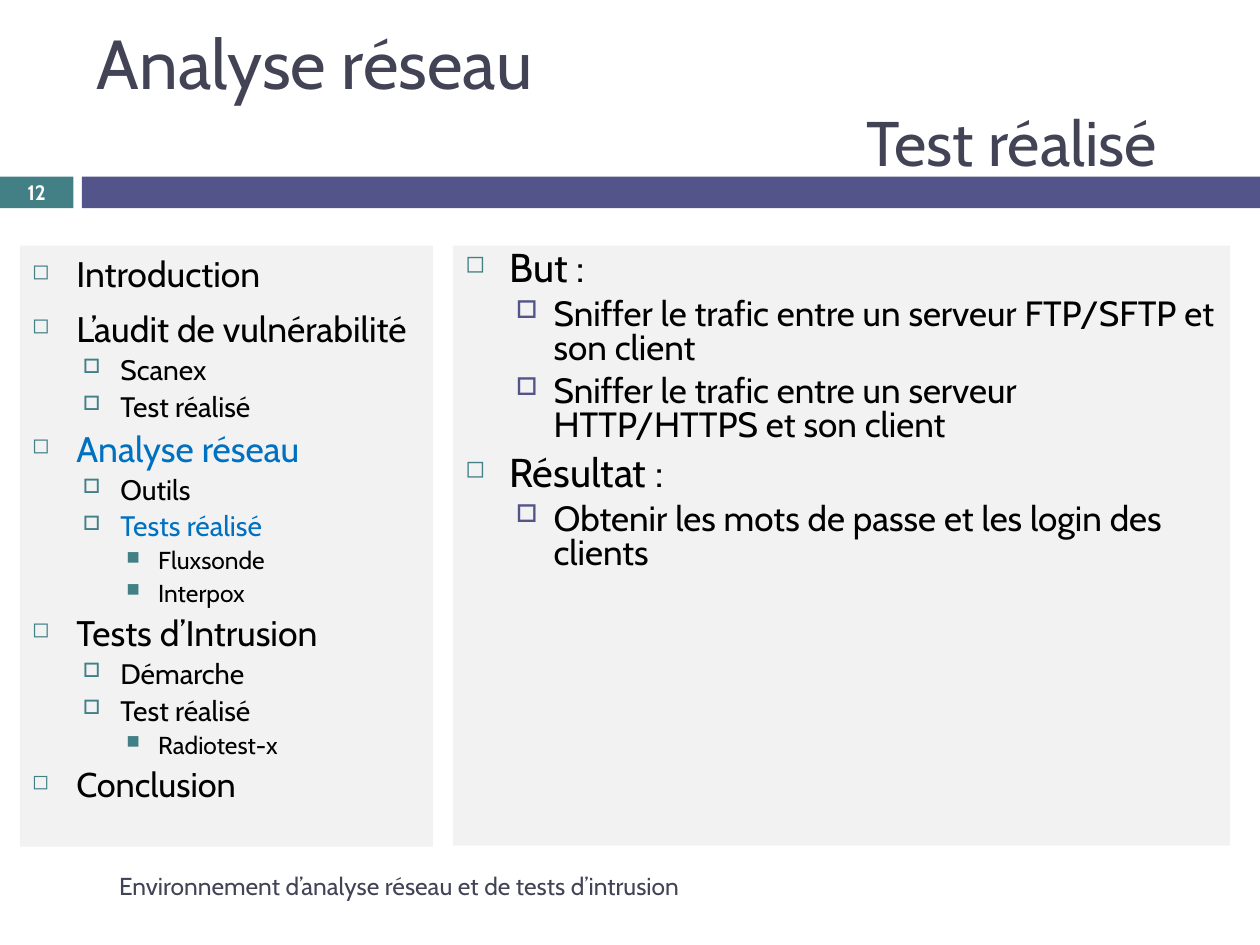
import pptx
import pptx.util
import pptx.dml.color
import pptx.enum.shapes
import pptx.enum.text
import pptx.oxml.ns
from lxml import etree

Cm, Pt = pptx.util.Cm, pptx.util.Pt
RGB = pptx.dml.color.RGBColor
ALIGN = pptx.enum.text.PP_ALIGN
MIDDLE = pptx.enum.text.MSO_ANCHOR.MIDDLE

FONT = "Cabin"
TEAL = RGB(0x43, 0x80, 0x86)
VIOLET = RGB(0x53, 0x54, 0x8A)
SLATE = RGB(0x42, 0x44, 0x56)
GRAY = RGB(0xF2, 0xF2, 0xF2)
BLACK = RGB(0, 0, 0)
WHITE = RGB(255, 255, 255)
BLUE = RGB(0, 0x70, 0xC0)

TITLE = [("Analyse réseau", 39.6, ALIGN.LEFT), ("Test réalisé", 36, ALIGN.RIGHT)]
NUMBER = "12"
FOOTER = "Environnement d’analyse réseau et de tests d’intrusion"

# level, text, size, colour, line spacing
PLAN = [
    (0, "Introduction", 20.3, BLACK, 1),
    (0, "L’audit de vulnérabilité", 20.3, BLACK, 1),
    (1, "Scanex", 16.1, BLACK, 0.8),
    (1, "Test réalisé", 16.1, BLACK, 0.8),
    (0, "Analyse réseau", 20.3, BLUE, 0.8),
    (1, "Outils", 16.1, BLACK, 0.8),
    (1, "Tests réalisé", 16.1, BLUE, 0.8),
    (2, "Fluxsonde", 14, BLACK, 0.8),
    (2, "Interpox", 14, BLACK, 0.8),
    (0, "Tests d’Intrusion", 20.3, BLACK, 0.8),
    (1, "Démarche", 16.1, BLACK, 0.8),
    (1, "Test réalisé", 16.1, BLACK, 0.8),
    (2, "Radiotest-x", 14, BLACK, 0.8),
    (0, "Conclusion", 19.6, BLACK, 0.8),
]
GOALS = [
    (0, "But :", 23, BLACK, 0.8),
    (1, "Sniffer le trafic entre un serveur FTP/SFTP et son client", 20, BLACK, 0.8),
    (1, "Sniffer le trafic entre un serveur HTTP/HTTPS et son client", 20, BLACK, 0.8),
    (0, "Résultat :", 23, BLACK, 0.8),
    (1, "Obtenir les mots de passe et les login des clients", 20, BLACK, 0.8),
]

# per level: left margin and hanging indent (cm), space before (pt), bullet, its size (%)
LEVELS = [
    (0.89, 0.89, 7, "◻", 60),
    (1.78, 0.76, 5.5, "□", 70),
    (2.54, 0.64, 5, "■", 75),
]


def place(shape, left, top, width, height):
    shape.left, shape.top = Cm(left), Cm(top)
    shape.width, shape.height = Cm(width), Cm(height)


def write(par, text, size, color, bold=False):
    run = par.add_run()
    run.text = text
    font = run.font
    font.name, font.size, font.bold = FONT, Pt(size), bold
    font.color.rgb = color


def add_box(slide, area, fill):
    box = slide.shapes.add_shape(
        pptx.enum.shapes.MSO_SHAPE.RECTANGLE, *map(Cm, area))
    box.shadow.inherit = False
    box.fill.solid()
    box.fill.fore_color.rgb = fill
    box.line.fill.background()
    frame = box.text_frame
    frame.word_wrap = True
    return frame


def add_bullet(par, level, color):
    """Set the indent, space and bullet of one list level."""
    left, hang, before, char, size = LEVELS[level]
    par.level = level
    par.alignment = ALIGN.LEFT
    par.space_before = Pt(before)
    props = par._p.get_or_add_pPr()
    props.set("marL", str(Cm(left)))
    props.set("indent", str(-Cm(hang)))
    qn = pptx.oxml.ns.qn
    tint = etree.SubElement(props, qn("a:buClr"))
    etree.SubElement(tint, qn("a:srgbClr"), val=str(color))
    etree.SubElement(props, qn("a:buSzPct"), val=str(size * 1000))
    etree.SubElement(props, qn("a:buChar"), char=char)


def add_list(slide, area, items, colors):
    frame = add_box(slide, area, GRAY)
    frame.vertical_anchor = pptx.enum.text.MSO_ANCHOR.TOP
    for i, (level, text, size, color, spacing) in enumerate(items):
        par = frame.add_paragraph() if i else frame.paragraphs[0]
        par.line_spacing = spacing
        add_bullet(par, level, colors[level])
        write(par, text, size, color)


def add_title(slide):
    title = slide.shapes.title
    place(title, 1.7, 0.64, 22.66, 2.74)
    frame = title.text_frame
    frame.auto_size = pptx.enum.text.MSO_AUTO_SIZE.NONE
    frame.vertical_anchor = MIDDLE
    frame.margin_right = Cm(1.04)
    for i, (text, size, align) in enumerate(TITLE):
        par = frame.add_paragraph() if i else frame.paragraphs[0]
        par.alignment = align
        par.space_before = Pt(0)
        write(par, text, size, SLATE)


def main():
    deck = pptx.Presentation()
    deck.slide_width, deck.slide_height = Cm(25.4), Cm(19.05)
    slide = deck.slides.add_slide(deck.slide_layouts[5])

    badge = add_box(slide, (0, 3.56, 1.48, 0.64), TEAL)
    badge.margin_left = badge.margin_right = 0
    badge.margin_top = badge.margin_bottom = 0
    badge.vertical_anchor = MIDDLE
    badge.paragraphs[0].alignment = ALIGN.CENTER
    write(badge.paragraphs[0], NUMBER, 11.9, WHITE, bold=True)
    add_box(slide, (1.65, 3.56, 23.75, 0.64), VIOLET)

    add_title(slide)
    add_list(slide, (9.13, 4.95, 15.67, 12.1), GOALS, (TEAL, VIOLET, TEAL))
    add_list(slide, (0.4, 4.95, 8.33, 12.12), PLAN, (TEAL, TEAL, TEAL))

    foot = slide.shapes.add_textbox(*map(Cm, (1.7, 17.35, 15.06, 1.02))).text_frame
    foot.word_wrap = True
    foot.vertical_anchor = MIDDLE
    foot.margin_left = Cm(0.7)
    write(foot.paragraphs[0], FOOTER, 14, SLATE)

    deck.save("out.pptx")


if __name__ == "__main__":
    main()
